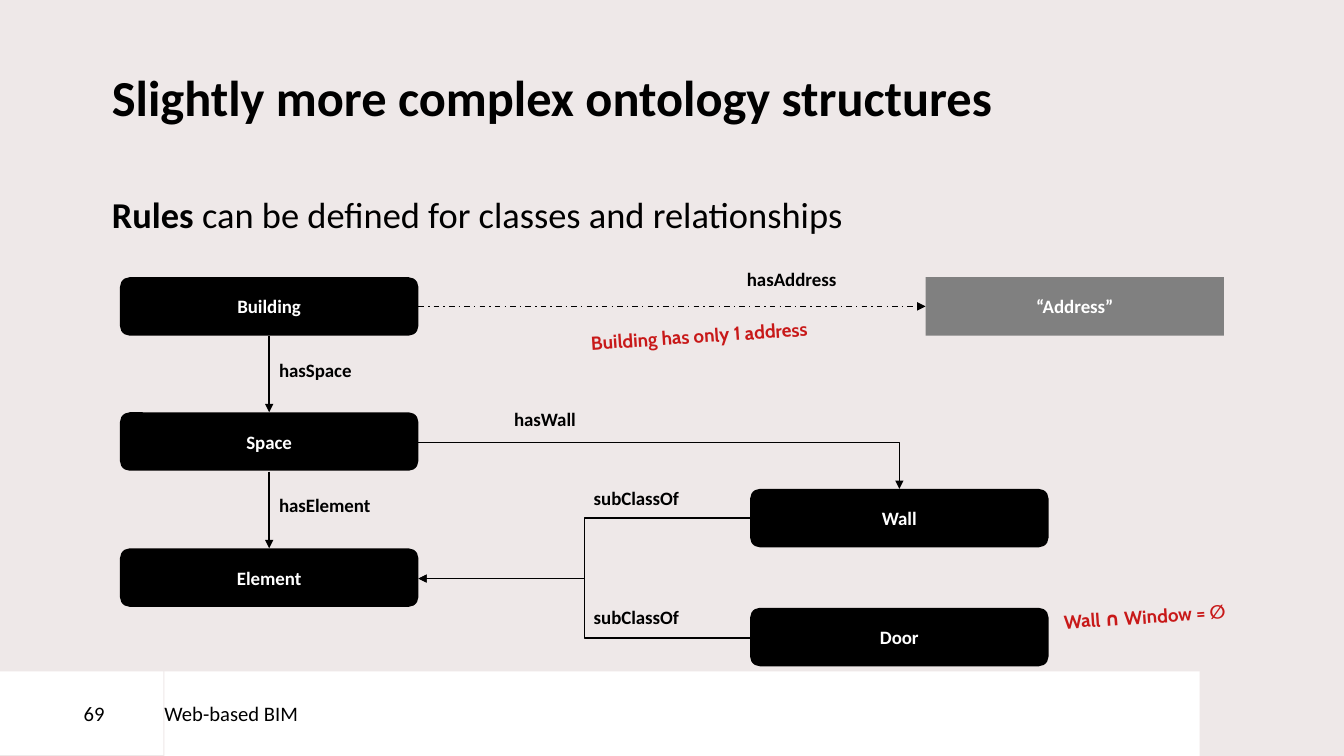
from lxml import etree
from pptx import Presentation
from pptx.dml.color import RGBColor
from pptx.enum import dml, shapes, text
from pptx.oxml.ns import qn
from pptx.util import Inches, Pt

COLORS = {"back": "EEE8E8", "ink": "000000", "paper": "FFFFFF",
          "gray": "808080", "red": "C81919"}

deck = Presentation()
deck.slide_width, deck.slide_height = Inches(13.33), Inches(7.5)
slide = deck.slides.add_slide(deck.slide_layouts[5])
slide.background.fill.solid()
slide.background.fill.fore_color.rgb = RGBColor.from_string(COLORS["back"])


def write(shape, words, size, color="ink", bold=True, font="Calibri",
          align=text.PP_ALIGN.LEFT, anchor=text.MSO_ANCHOR.TOP, inset=None):
    """Put one formatted paragraph in a shape; inset is its left margin, others 0."""
    frame = shape.text_frame
    frame.text = words
    frame.word_wrap = True
    frame.auto_size = text.MSO_AUTO_SIZE.NONE
    frame.vertical_anchor = anchor
    if inset is not None:
        frame.margin_left = Inches(inset)
        frame.margin_top = frame.margin_right = frame.margin_bottom = 0
    line = frame.paragraphs[0]
    line.alignment = align
    for run in line.runs:
        run.font.name, run.font.size, run.font.bold = font, Pt(size), bold
        run.font.color.rgb = RGBColor.from_string(COLORS[color])
    return line


def block(kind, left, top, width, height, fill):
    shape = slide.shapes.add_shape(kind, Inches(left), Inches(top),
                                   Inches(width), Inches(height))
    shape.shadow.inherit = False
    shape.fill.solid()
    shape.fill.fore_color.rgb = RGBColor.from_string(COLORS[fill])
    shape.line.fill.background()
    return shape


# Title and lead sentence
title = slide.shapes.title
title.left, title.top = Inches(1.11), Inches(0.76)
title.width, title.height = Inches(11.02), Inches(0.79)
write(title, "Slightly more complex ontology structures", 36,
      inset=0).line_spacing = Pt(36)

lead = slide.shapes.add_textbox(Inches(1.11), Inches(1.91), Inches(11.02), Inches(0.6))
line = write(lead, "Rules ", 26, inset=0)
rest = line.add_run()
rest.text = "can be defined for classes and relationships"
rest.font.name, rest.font.size, rest.font.bold = "Calibri", Pt(26), False
rest.font.color.rgb = RGBColor.from_string(COLORS["ink"])

# Arrows between the classes
ROUND, RECT = shapes.MSO_SHAPE.ROUNDED_RECTANGLE, shapes.MSO_SHAPE.RECTANGLE
STRAIGHT, ELBOW = shapes.MSO_CONNECTOR.STRAIGHT, shapes.MSO_CONNECTOR.ELBOW
arrows = [
    ("hasSpace", STRAIGHT, 2.67, 3.33, 2.67, 4.09),
    ("hasElement", STRAIGHT, 2.67, 4.68, 2.67, 5.44),
    ("hasAddress", STRAIGHT, 4.15, 3.04, 9.18, 3.04),
    ("hasWall", ELBOW, 4.15, 4.39, 8.92, 4.85),
    ("subClassOf", ELBOW, 7.44, 5.14, 4.15, 5.74),
    ("subClassOf", ELBOW, 7.44, 6.33, 4.15, 5.74),
]
for name, kind, *ends in arrows:
    arrow = slide.shapes.add_connector(kind, *map(Inches, ends))
    arrow.line.width = Pt(1)
    arrow.line.color.rgb = RGBColor.from_string(COLORS["ink"])
    if name == "hasAddress":
        arrow.line.dash_style = dml.MSO_LINE.DASH_DOT
    props = arrow._element.spPr
    if name == "hasWall":  # a single bend
        props.find(qn("a:prstGeom")).set("prst", "bentConnector2")
    etree.SubElement(props.find(qn("a:ln")), qn("a:tailEnd"), type="triangle")
    etree.SubElement(props, qn("a:effectLst"))

# Class boxes
boxes = [
    ("Building", 1.19, 2.75, ROUND, "ink"),
    ("Space", 1.19, 4.09, ROUND, "ink"),
    ("Element", 1.19, 5.44, ROUND, "ink"),
    ("Wall", 7.44, 4.85, ROUND, "ink"),
    ("Door", 7.44, 6.03, ROUND, "ink"),
    ("“Address”", 9.18, 2.75, RECT, "gray"),
]
for name, left, top, kind, fill in boxes:
    write(block(kind, left, top, 2.96, 0.58, fill), name, 13.5, "paper",
          align=text.PP_ALIGN.CENTER, anchor=text.MSO_ANCHOR.MIDDLE)

# Relationship labels
labels = [
    ("hasSpace", 2.67, 3.51), ("hasElement", 2.67, 4.85),
    ("hasAddress", 7.31, 2.61), ("hasWall", 5, 3.99),
    ("subClassOf", 5.79, 4.78), ("subClassOf", 5.79, 5.96),
]
for name, left, top in labels:
    label = slide.shapes.add_textbox(Inches(left), Inches(top), Inches(1.6), Inches(0.33))
    write(label, name, 13.5)

# Tilted rules
rules = [("Wall ∩ Window = ∅", 10.45, 5.91, 3.13),
         ("Building has only 1 address", 5.76, 3.13, 3.55)]
for words, left, top, width in rules:
    rule = slide.shapes.add_textbox(Inches(left), Inches(top), Inches(width), Inches(0.33))
    rule.rotation = 356.3
    write(rule, words, 13.5, "red", font="Cabin")

# Footer
footer = [("Web-based BIM", 1.63, 10.27, 0.84, 0), ("69", 0, 1.62, 0.83, 0.83)]
for words, left, width, height, inset in footer:
    write(block(RECT, left, 6.66, width, height, "paper"), words, 14.7,
          bold=False, anchor=text.MSO_ANCHOR.MIDDLE, inset=inset)

deck.save("out.pptx")
